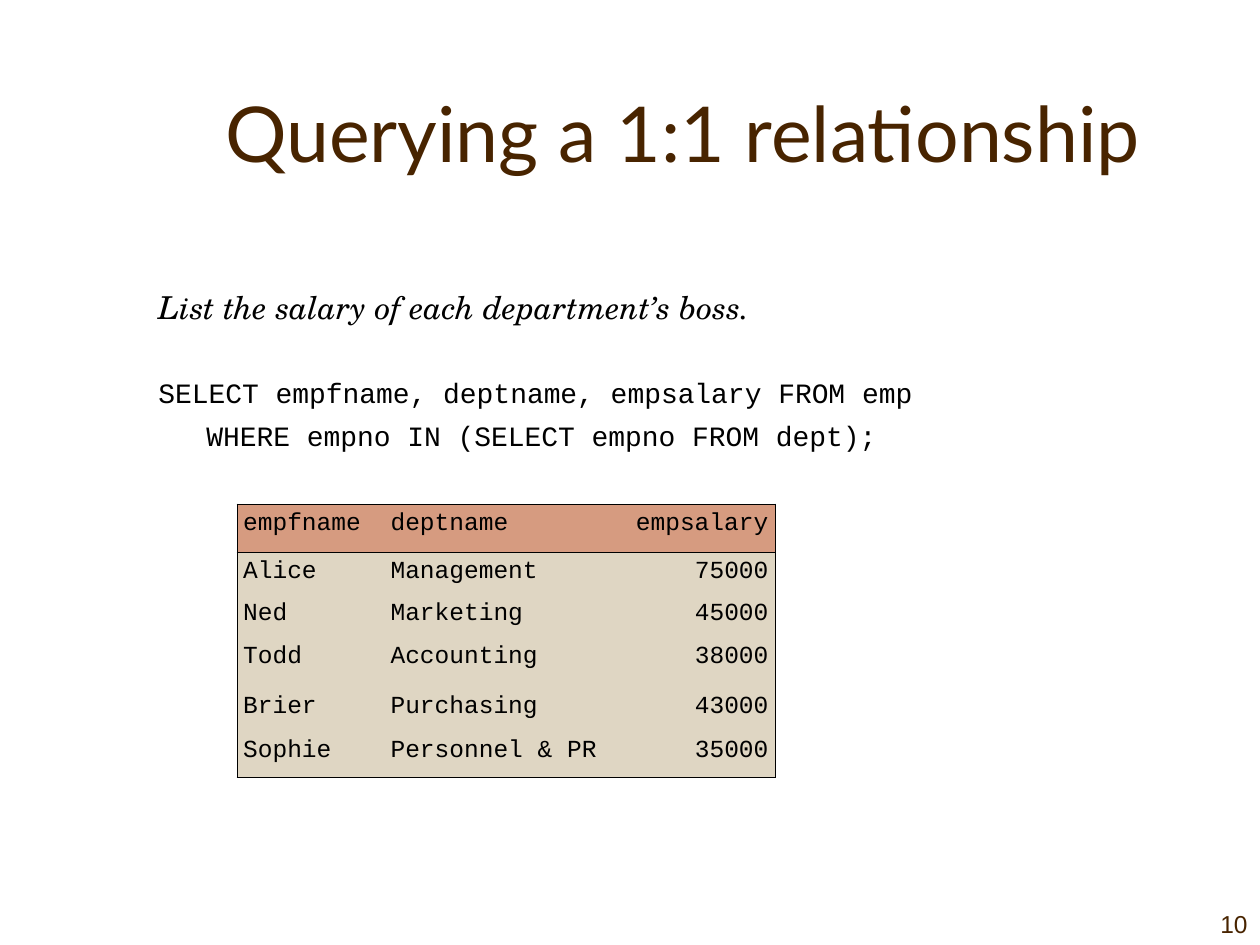
from lxml.etree import SubElement
from pptx import Presentation
from pptx.dml.color import RGBColor
from pptx.enum.text import MSO_ANCHOR as Anchor, PP_ALIGN as Align
from pptx.oxml.ns import qn
from pptx.util import Inches, Pt

COLORS = {"brown": "482400", "black": "000000", "header": "D69B80", "body": "DFD6C3"}
CODE_FONT = "Courier New"
BORDER_WIDTH = Pt(0.45)

COLUMN_WIDTHS = [1.17, 1.85, 1.25]
ROW_HEIGHTS = [0.38, 0.33, 0.34, 0.4, 0.35, 0.37]
SALARIES = [
    ("empfname", "deptname", "empsalary"),
    ("Alice", "Management", "75000"),
    ("Ned", "Marketing", "45000"),
    ("Todd", "Accounting", "38000"),
    ("Brier", "Purchasing", "43000"),
    ("Sophie", "Personnel & PR", "35000"),
]


class SlideBuilder:
    """Holds the current slide and the colours of its style."""

    def __init__(self, slide, colors):
        self.slide = slide
        self.colors = colors

    def rgb(self, color):
        return RGBColor.from_string(self.colors[color])

    def add_text(self, paragraph, text, size, font, color="black", italic=False,
                 align=Align.LEFT, before=0):
        paragraph.alignment = align
        paragraph.space_before = Pt(before)
        run = paragraph.add_run()
        run.text = text
        run.font.size = Pt(size)
        run.font.name = font
        run.font.italic = italic
        run.font.color.rgb = self.rgb(color)

    def text_box(self, left, top, width, height, anchor=Anchor.TOP):
        box = self.slide.shapes.add_textbox(
            Inches(left), Inches(top), Inches(width), Inches(height))
        frame = box.text_frame
        frame.word_wrap = True
        frame.vertical_anchor = anchor
        return frame

    def border(self, cell, sides):
        """Draw the given sides (of L, R, T, B) and clear the others."""
        properties = cell._tc.get_or_add_tcPr()
        for side in "LRTB":
            line = SubElement(properties, qn(f"a:ln{side}"), w=str(int(BORDER_WIDTH)))
            if side in sides:
                fill = SubElement(line, qn("a:solidFill"))
                SubElement(fill, qn("a:srgbClr"), val=self.colors["black"])
            else:
                SubElement(line, qn("a:noFill"))

    def table(self, left, top, column_widths, row_heights, rows):
        table = self.slide.shapes.add_table(
            len(rows), len(column_widths), Inches(left), Inches(top),
            Inches(sum(column_widths)), Inches(sum(row_heights))).table
        for column, width in zip(table.columns, column_widths):
            column.width = Inches(width)
        last_row, last_column = len(rows) - 1, len(column_widths) - 1
        for r, values in enumerate(rows):
            table.rows[r].height = Inches(row_heights[r])
            for c, value in enumerate(values):
                cell = table.cell(r, c)
                cell.margin_left = cell.margin_right = Inches(0.05)
                cell.margin_top = cell.margin_bottom = Inches(0.05)
                edges = {"L": c == 0, "R": c == last_column,
                         "T": r <= 1, "B": r in (0, last_row)}
                self.border(cell, [side for side, drawn in edges.items() if drawn])
                cell.fill.solid()
                cell.fill.fore_color.rgb = self.rgb("body" if r else "header")
                self.add_text(cell.text_frame.paragraphs[0], value, 14, CODE_FONT,
                              before=3.5,
                              align=Align.RIGHT if c == last_column else Align.LEFT)


def main():
    presentation = Presentation()
    presentation.slide_width = Inches(10)
    presentation.slide_height = Inches(7.5)
    slide = presentation.slides.add_slide(presentation.slide_layouts[6])
    builder = SlideBuilder(slide, COLORS)

    title = builder.text_box(1.17, 0.42, 8.5, 1.25, Anchor.MIDDLE)
    builder.add_text(title.paragraphs[0], "Querying a 1:1 relationship", 44, "Lato",
                     "brown", align=Align.CENTER)

    query = builder.text_box(1.16, 2.24, 8.5, 4.5)
    builder.add_text(query.paragraphs[0], "List the salary of each department’s boss.", 18,
                     "TeX Gyre Schola", italic=True, before=4.5)
    builder.add_text(query.add_paragraph(), "SELECT empfname, deptname, empsalary FROM emp",
                     16, CODE_FONT, before=28)
    condition = query.add_paragraph()
    builder.add_text(condition, "WHERE empno IN (SELECT empno FROM dept);", 16, CODE_FONT,
                     before=5.5)
    condition._p.get_or_add_pPr().set("marL", str(int(Inches(0.38))))

    builder.table(1.88, 4, COLUMN_WIDTHS, ROW_HEIGHTS, SALARIES)

    page_number = builder.text_box(9, 7, 1, 0.5, Anchor.BOTTOM)
    builder.add_text(page_number.paragraphs[0], "10", 14, "Arial", "brown",
                     align=Align.RIGHT)

    presentation.save("out.pptx")


if __name__ == "__main__":
    main()
